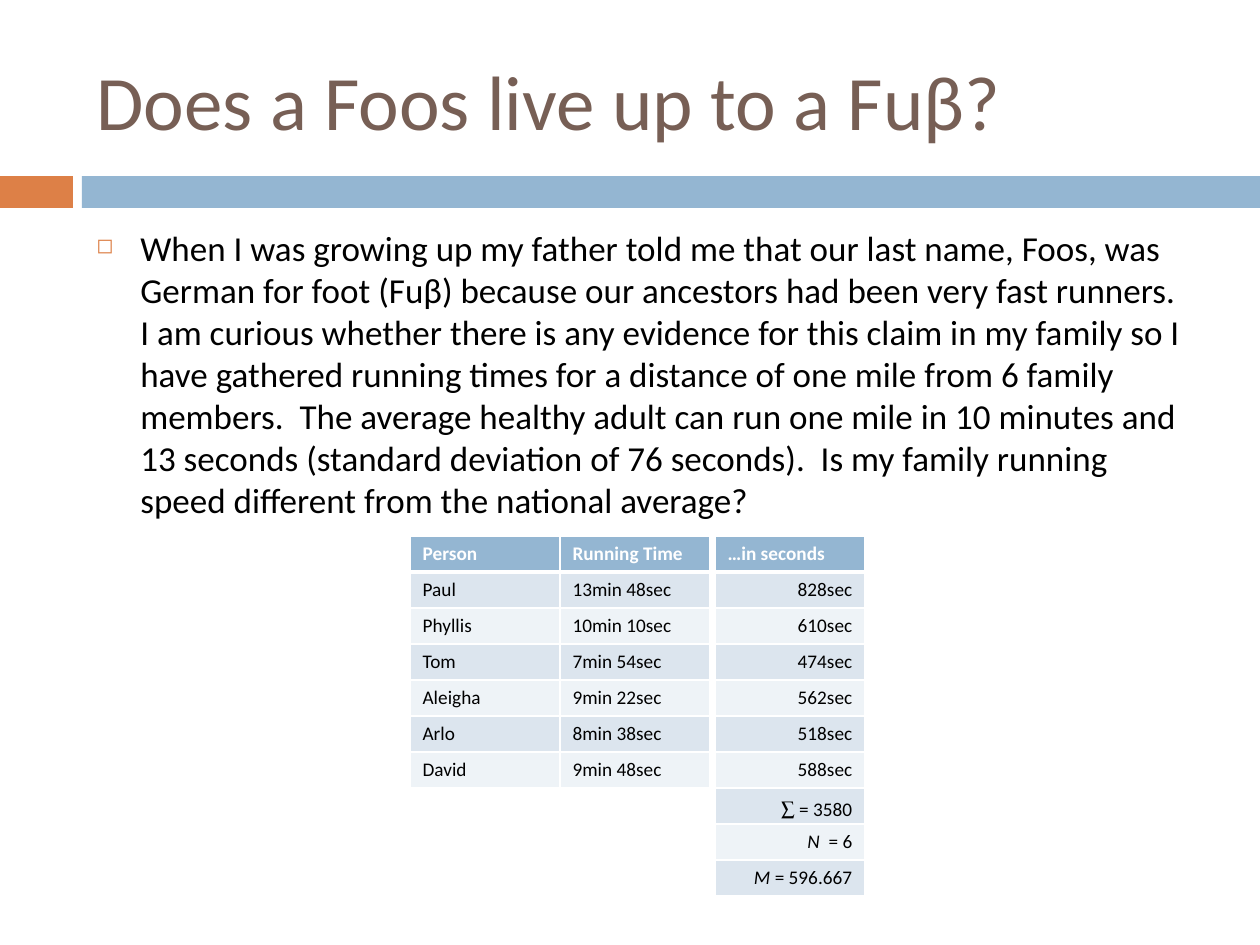
from lxml.etree import SubElement
from pptx import Presentation
from pptx.dml.color import RGBColor as RGB
from pptx.enum.shapes import MSO_SHAPE as SHAPE
from pptx.enum.text import MSO_ANCHOR as ANCHOR, PP_ALIGN as ALIGN
from pptx.oxml.ns import qn
from pptx.util import Pt

PX = 914400 / 126  # EMU per px
COLORS = {"orange": "DD8047", "blue": "94B6D2", "brown": "775F55",
          "black": "000000", "white": "FFFFFF",
          "band_dark": "DCE5EE", "band_light": "EEF3F7"}
FONT, MATH_FONT = "Calibri", "TeX Gyre Schola"
ROW_H, COL_W = 36, 150

TITLE = "Does a Foos live up to a Fuβ?"
STORY = (
    "When I was growing up my father told me that our last name, Foos, was "
    "German for foot (Fuβ) because our ancestors had been very fast runners.  "
    "I am curious whether there is any evidence for this claim in my family so I "
    "have gathered running times for a distance of one mile from 6 family "
    "members.  The average healthy adult can run one mile in 10 minutes and "
    "13 seconds (standard deviation of 76 seconds).  Is my family running "
    "speed different from the national average?")
RUNNERS = [("Paul", "13min 48sec", "828sec"), ("Phyllis", "10min 10sec", "610sec"),
           ("Tom", "7min 54sec", "474sec"), ("Aleigha", "9min 22sec", "562sec"),
           ("Arlo", "8min 38sec", "518sec"), ("David", "9min 48sec", "588sec")]
# Each summary line is a list of (text, font, italic) runs
SUMMARY = [[("∑", MATH_FONT, False), (" = 3580", FONT, False)],
           [("N ", FONT, True), (" = 6", FONT, False)],
           [("M ", FONT, True), ("= 596.667", FONT, False)]]


def emu(*lengths):
    return [round(n * PX) for n in lengths]


def rgb(name):
    return RGB.from_string(COLORS[name])


def add_run(p, text, size, color, font=FONT, bold=False, italic=False):
    r = p.add_run()
    r.text = text
    f = r.font
    f.name, f.size, f.bold, f.italic = font, Pt(size), bold, italic
    f.color.rgb = rgb(color)


def add_bar(s, x, y, w, h, color):
    sp = s.shapes.add_shape(SHAPE.RECTANGLE, *emu(x, y, w, h))
    sp.shadow.inherit = False
    sp.fill.solid()
    sp.fill.fore_color.rgb = rgb(color)
    sp.line.fill.background()


def add_divider(s, x, y, w, h):
    add_bar(s, x, y, 73, h, "orange")
    add_bar(s, x + 82, y, w - 82, h, "blue")


def add_text_box(s, x, y, w, h, anchor):
    tf = s.shapes.add_textbox(*emu(x, y, w, h)).text_frame
    tf.word_wrap = True
    tf.vertical_anchor = anchor
    return tf.paragraphs[0]


def add_title(s, x, y, w, h):
    p = add_text_box(s, x, y, w, h, ANCHOR.MIDDLE)
    add_run(p, TITLE, 44, "brown")


def add_story(s, x, y, w, h):
    p = add_text_box(s, x, y, w, h, ANCHOR.TOP)
    p.space_before = Pt(7)
    add_run(p, STORY, 20, "black")
    # Hollow square bullet with a hanging indent
    pPr = p._p.get_or_add_pPr()
    indent, = emu(44)
    pPr.set("marL", str(indent))
    pPr.set("indent", str(-indent))
    color = SubElement(pPr, qn("a:buClr"))
    SubElement(color, qn("a:srgbClr"), val=COLORS["orange"])
    SubElement(pPr, qn("a:buSzPct"), val="60000")
    SubElement(pPr, qn("a:buChar"), char="◻")


def style_cell(cell, fill, bottom):
    # Borders come before the fill in the cell properties
    tcPr = cell._tc.get_or_add_tcPr()
    for side, width in (("L", 1), ("R", 1), ("T", 1), ("B", bottom)):
        ln = SubElement(tcPr, qn(f"a:ln{side}"), w=str(Pt(width)))
        SubElement(SubElement(ln, qn("a:solidFill")), qn("a:srgbClr"),
                   val=COLORS["white"])
    cell.fill.solid()
    cell.fill.fore_color.rgb = rgb(fill)


def add_grid(s, x, y, rows, header=None, align=ALIGN.LEFT):
    """Banded table; every body cell is a list of (text, font, italic) runs."""
    n_rows, n_cols = len(rows) + bool(header), len(rows[0])
    table = s.shapes.add_table(
        n_rows, n_cols, *emu(x, y, COL_W * n_cols, ROW_H * n_rows)).table
    table.first_row = bool(header)
    for line in [*table.rows]:
        line.height, = emu(ROW_H)
    for i, text in enumerate(header or []):
        cell = table.cell(0, i)
        style_cell(cell, "blue", 3)
        add_run(cell.text_frame.paragraphs[0], text, 11, "white", bold=True)
    for j, row in enumerate(rows):
        for i, runs in enumerate(row):
            cell = table.cell(j + bool(header), i)
            style_cell(cell, "band_light" if j % 2 else "band_dark", 1)
            p = cell.text_frame.paragraphs[0]
            p.alignment = align
            for text, font, italic in runs:
                add_run(p, text, 11, "black", font, italic=italic)


def add_running_times(s, x, y):
    cells = [[[(text, FONT, False)] for text in row] for row in RUNNERS]
    seconds_x = x + 2 * COL_W + 5
    add_grid(s, x, y, [row[:2] for row in cells], ["Person", "Running Time"])
    add_grid(s, seconds_x, y, [row[2:] for row in cells], ["…in seconds"], ALIGN.RIGHT)
    add_grid(s, seconds_x, y + 252, [[runs] for runs in SUMMARY], align=ALIGN.RIGHT)


def main():
    prs = Presentation()
    prs.slide_width, prs.slide_height = emu(1260, 945)
    s = prs.slides.add_slide(prs.slide_layouts[6])
    add_divider(s, 0, 176, 1260, 32)
    add_title(s, 84, 32, 1124, 136)
    add_story(s, 84, 220, 1124, 620)
    add_running_times(s, 410, 536)
    prs.save("out.pptx")


if __name__ == "__main__":
    main()
